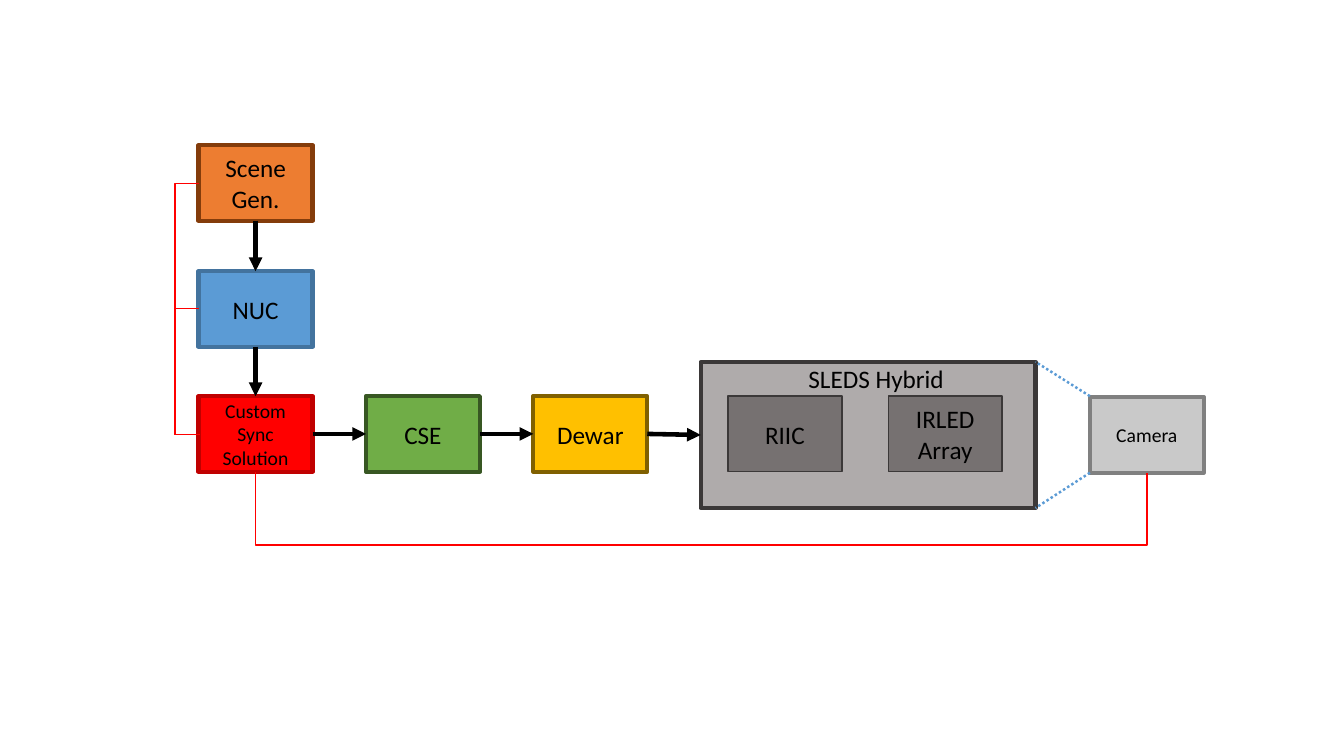
import dataclasses

import lxml.etree
import pptx
import pptx.dml.color
import pptx.enum.dml
import pptx.enum.shapes
import pptx.enum.text
import pptx.oxml.ns
import pptx.util

PX = 9144  # EMU per px, 100 px to the inch
BOX_W, BOX_H = 113, 75
TOP, LEFT, BOTTOM, RIGHT = range(4)  # connection sites of a rectangle


@dataclasses.dataclass(frozen=True)
class Theme:
    font: str = "Calibri"
    body: int = 18
    small: int = 14
    ink: str = "000000"
    sync: tuple = ("FF0000", "C00000")
    scene: tuple = ("ED7D31", "843C0B")
    nuc: tuple = ("5B9BD5", "43739E")
    cse: tuple = ("70AD47", "385723")
    dewar: tuple = ("FFC000", "806000")
    hybrid: tuple = ("AFABAB", "3B3838")
    chip: tuple = ("767171", "3B3838")
    camera: tuple = ("C9C9C9", "808080")
    sync_line: str = "FF0000"
    view_line: str = "5B9BD5"


THEME = Theme()


def rgb(value):
    return pptx.dml.color.RGBColor.from_string(value)


def px(*lengths):
    return [pptx.util.Emu(length * PX) for length in lengths]


def add_node(parent, tag, **attributes):
    node = lxml.etree.SubElement(parent, pptx.oxml.ns.qn(tag))
    for key, value in attributes.items():
        node.set(key, value)
    return node


def write(frame, text, size=THEME.body, color=THEME.ink, centred=True, wrap=True):
    frame.word_wrap = wrap
    paragraph = frame.paragraphs[0]
    if centred:
        frame.vertical_anchor = pptx.enum.text.MSO_ANCHOR.MIDDLE
        paragraph.alignment = pptx.enum.text.PP_ALIGN.CENTER
    run = paragraph.add_run()
    run.text = text
    run.font.name = THEME.font
    run.font.size = pptx.util.Pt(size)
    run.font.color.rgb = rgb(color)


def add_box(slide, left, top, colors, text="", width=BOX_W, height=BOX_H,
            border=3, size=THEME.body):
    box = slide.shapes.add_shape(pptx.enum.shapes.MSO_SHAPE.RECTANGLE,
                                 *px(left, top, width, height))
    fill, line = colors
    box.shadow.inherit = False
    box.fill.solid()
    box.fill.fore_color.rgb = rgb(fill)
    box.line.color.rgb = rgb(line)
    box.line.width = pptx.util.Pt(border)
    if text:
        write(box.text_frame, text, size=size)
    return box


def add_label(slide, left, top, width, height, text):
    label = slide.shapes.add_textbox(*px(left, top, width, height))
    write(label.text_frame, text, centred=False, wrap=False)
    label.text_frame.auto_size = pptx.enum.text.MSO_AUTO_SIZE.SHAPE_TO_FIT_TEXT


def add_line(slide, start, end, color, width, elbow=False):
    kinds = pptx.enum.shapes.MSO_CONNECTOR
    line = slide.shapes.add_connector(kinds.ELBOW if elbow else kinds.STRAIGHT,
                                      *px(*start, *end))
    line.line.color.rgb = rgb(color)
    line.line.width = pptx.util.Pt(width)
    add_node(line._element.spPr, "a:effectLst")
    return line


def add_arrow(slide, source, source_site, target, target_site):
    arrow = add_line(slide, (0, 0), (0, 0), THEME.ink, 3.25)
    arrow.begin_connect(source, source_site)
    arrow.end_connect(target, target_site)
    add_node(arrow.line._get_or_add_ln(), "a:tailEnd", type="triangle")


def add_sync_line(slide, start, end, reach, turn=0):
    """Bent line on a frame 1 px wide; reach is how far it bulges, in px."""
    line = add_line(slide, start, end, THEME.sync_line, 1.25, elbow=True)
    properties = line._element.spPr
    if turn:
        properties.find(pptx.oxml.ns.qn("a:xfrm")).set("rot", str(turn * 60000))
    guides = properties.find(".//" + pptx.oxml.ns.qn("a:avLst"))
    add_node(guides, "a:gd", name="adj1", fmla=f"val {reach * 100000}")


def main():
    deck = pptx.Presentation()
    deck.slide_width, deck.slide_height = px(1333, 750)
    slide = deck.slides.add_slide(deck.slide_layouts[6])

    # Processing column and the row that follows it
    column, row, column_step, row_step = 197, 393, 125, 166
    scene = add_box(slide, column, row - 2 * column_step + 1, THEME.scene, "Scene Gen.")
    nuc = add_box(slide, column, row - column_step + 1, THEME.nuc, "NUC")
    sync = add_box(slide, column, row, THEME.sync, "Custom Sync Solution",
                   size=THEME.small)
    cse = add_box(slide, column + row_step, row, THEME.cse, "CSE")
    dewar = add_box(slide, column + 2 * row_step, row, THEME.dewar, "Dewar")

    # Hybrid with its two chips, and the camera
    hybrid = add_box(slide, 695, 359, THEME.hybrid, width=332, height=145)
    for left, chip in ((722, "RIIC"), (881, "IRLED Array")):
        add_box(slide, left, row, THEME.chip, chip, border=1)
    add_label(slide, 792, 356, 156, 40, "SLEDS Hybrid")
    add_box(slide, 1081, row + 1, THEME.camera, "Camera", size=THEME.small)

    # Signal flow
    for upper, lower in ((scene, nuc), (nuc, sync)):
        add_arrow(slide, upper, BOTTOM, lower, TOP)
    stages = (sync, cse, dewar, hybrid)
    for before, after in zip(stages, stages[1:]):
        add_arrow(slide, before, RIGHT, after, LEFT)

    # Camera field of view
    for camera_y, hybrid_y in ((393, 359), (469, 504)):
        sight = add_line(slide, (1081, camera_y), (1027, hybrid_y),
                         THEME.view_line, 1.75)
        sight.line.dash_style = pptx.enum.dml.MSO_LINE.ROUND_DOT

    # Synchronisation lines
    for target_y in (306, 182):
        add_sync_line(slide, (198, 431), (197, target_y), reach=25)
    add_sync_line(slide, (696, 27), (695, 911), reach=73, turn=270)

    deck.save("out.pptx")


if __name__ == "__main__":
    main()
